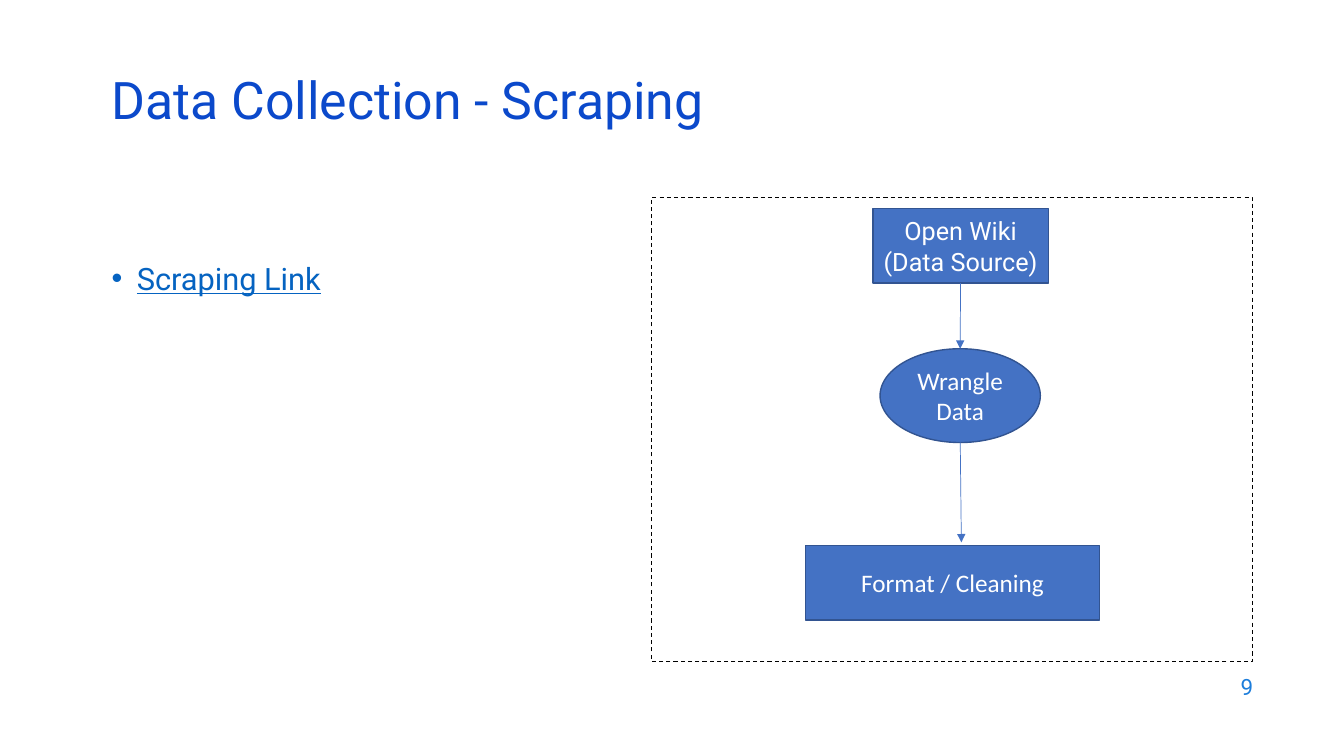
"""Build the slide on data collection by scraping."""
from lxml import etree
from pptx import Presentation
from pptx.dml.color import RGBColor
from pptx.enum import dml, shapes, text
from pptx.oxml import ns
from pptx.util import Pt

TITLE = "Data Collection - Scraping"
LINK = "Scraping Link"
PAGE = "9"
FRAME = (465.2, 141.1, 429.8, 331.2)
STEPS = [
    ("RECTANGLE", ["Open Wiki", "(Data Source)"], "Roboto", (623.5, 149, 125.3, 53.3)),
    ("OVAL", ["Wrangle Data"], "Calibri", (628.6, 249.1, 114.5, 67)),
    ("RECTANGLE", ["Format / Cleaning"], "Calibri", (575.3, 389.5, 210.2, 53.3)),
]
ARROWS = [((686.2, 202.3), (685.9, 249.1)), ((685.9, 316), (686.7, 387.4))]

prs = Presentation()
prs.slide_width, prs.slide_height = Pt(960), Pt(540)
slide = prs.slides.add_slide(prs.slide_layouts[6])


def rgb(code):
    """Turn a hex string into a colour."""
    return RGBColor.from_string(code)


def write(shape, lines, size, color, face="Roboto", align="LEFT", anchor="MIDDLE",
          top=3.6, side=7.2, spacing=None, bullet=None, underline=None):
    """Fill a shape with formatted paragraphs."""
    frame = shape.text_frame
    frame.word_wrap = True
    frame.vertical_anchor = text.MSO_ANCHOR[anchor]
    frame.margin_top = Pt(top)
    frame.margin_left = frame.margin_right = Pt(side)
    frame.text = "\n".join(lines)
    for para in frame.paragraphs:
        para.alignment = text.PP_ALIGN[align]
        para.line_spacing = spacing
        if bullet:
            props = para._p.get_or_add_pPr()
            props.set("marL", str(Pt(18)))
            props.set("indent", str(-Pt(18)))
            etree.SubElement(props, ns.qn("a:buFont"), typeface="Arial")
            etree.SubElement(props, ns.qn("a:buChar"), char=bullet)
        for run in para.runs:
            run.font.name, run.font.size = face, Pt(size)
            run.font.color.rgb = rgb(color)
            run.font.underline = underline


def text_box(box, lines, size, color, **form):
    """Add a text box with formatted text."""
    write(slide.shapes.add_textbox(*map(Pt, box)), lines, size, color, **form)


def outlined(kind, box, line, width, fill=None):
    """Add a preset shape with an outline and an optional fill."""
    shape = slide.shapes.add_shape(shapes.MSO_SHAPE[kind], *map(Pt, box))
    shape.shadow.inherit = False
    shape.line.color.rgb = rgb(line)
    shape.line.width = Pt(width)
    if fill:
        shape.fill.solid()
        shape.fill.fore_color.rgb = rgb(fill)
    else:
        shape.fill.background()
    return shape


def arrow(start, end):
    """Add a thin arrow between two points."""
    line = slide.shapes.add_connector(
        shapes.MSO_CONNECTOR.STRAIGHT, *map(Pt, start + end))
    line.line.color.rgb = rgb("4472C4")
    line.line.width = Pt(0.5)
    etree.SubElement(line.line._get_or_add_ln(), ns.qn("a:tailEnd"), type="triangle")
    etree.SubElement(line._element.spPr, ns.qn("a:effectLst"))
    return line


text_box((686.2, 474.5, 216, 31.7), [PAGE], 16, "1C7DDB", align="RIGHT")
text_box((72.7, 141.1, 309.6, 300.2), [LINK], 22, "0563C1", anchor="TOP",
         top=44.5, bullet="•", underline=True)
text_box((72.7, 54.7, 828, 43.2), [TITLE], 37, "0B49CB", spacing=0.7)

outlined("RECTANGLE", FRAME, "000000", 0.75).line.dash_style = dml.MSO_LINE.DASH
steps = []
for kind, lines, face, box in STEPS:
    step = outlined(kind, box, "325491", 1, "4472C4")
    write(step, lines, 18, "FFFFFF", face=face, align="CENTER", side=5)
    steps.append(step)

to_wrangle, to_cleaning = [arrow(*ends) for ends in ARROWS]
to_wrangle.begin_connect(steps[0], 2)
to_wrangle.end_connect(steps[1], 0)

prs.save("out.pptx")
